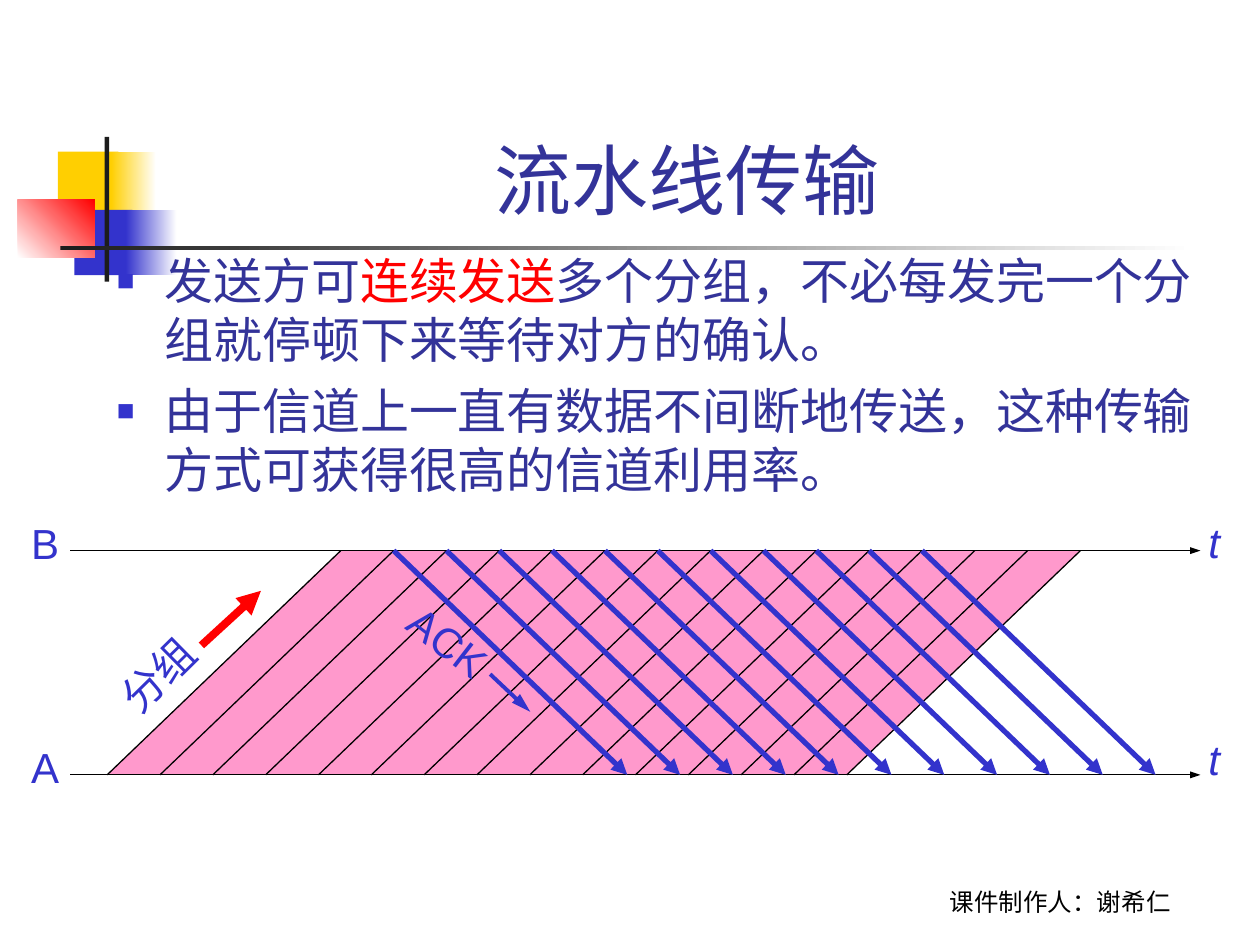
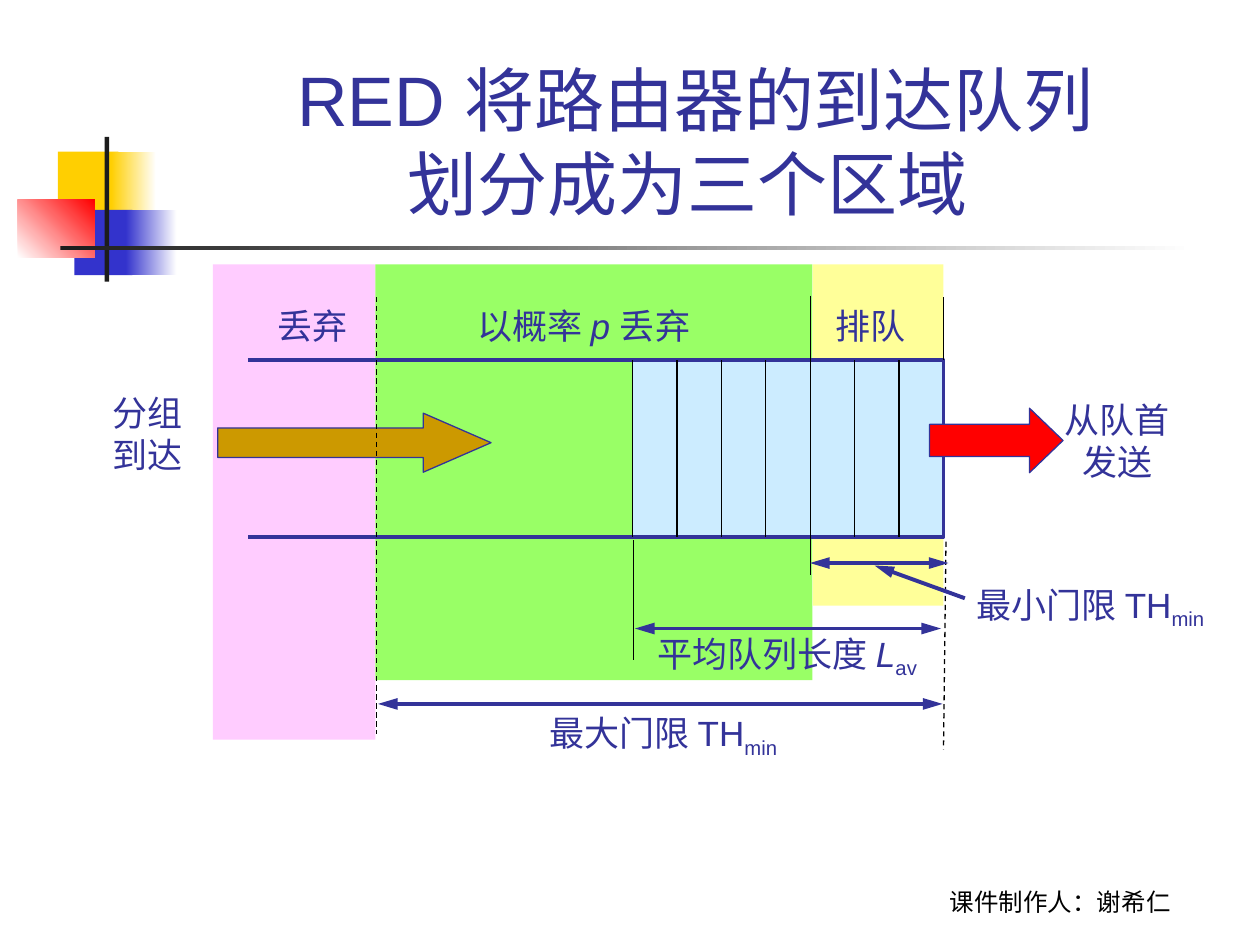
"""Builds two networking slides: pipelined transmission and the RED arrival queue."""
from lxml import etree
from pptx import Presentation
from pptx import util as u
from pptx.dml.color import RGBColor
from pptx.enum import dml, shapes, text
from pptx.oxml.ns import qn

COLORS = {
    "yellow": "FFCF01", "blue": "3333CC", "red": "FF0000", "white": "FFFFFF",
    "charcoal": "1C1C1C", "black": "000000", "navy": "333399", "packet": "FF99CC",
    "discard": "FFCCFF", "chance": "99FF66", "enqueue": "FFFF99",
    "slot": "CCECFF", "gold": "CC9900",
}
THIN, MEDIUM, THICK = 0.75, 2.25, 3
HEAD_SIZES = {THIN: {"w": "sm", "len": "med"}, MEDIUM: {"w": "med", "len": "lg"}}
LABEL_SLACK = 0.08
CENTER = text.PP_ALIGN.CENTER


def rgb(name):
    """Return the named colour."""
    return RGBColor.from_string(COLORS[name])


def cm(*lengths):
    """Convert centimetres to slide lengths."""
    return [u.Cm(length) for length in lengths]


def write(paragraph, pieces, size, color, font="Arial", align=None):
    """Fill a paragraph with (words, style) pieces and format its runs."""
    paragraph.alignment = align
    for words, style in pieces:
        run = paragraph.add_run()
        run.text = words
        run.font.size, run.font.name = u.Pt(size), font
        run.font.color.rgb = rgb("red" if style == "key" else color)
        if style == "italic":
            run.font.italic = True
        if style == "sub":
            run.font._element.set("baseline", "-25000")


def label(slide, place, lines, size, color, align=None, turn=0):
    """Add an unwrapped label whose lines are strings or lists of pieces."""
    left, top, width, height = place
    box = slide.shapes.add_textbox(
        *cm(left - LABEL_SLACK / 2, top, width + LABEL_SLACK, height))
    box.rotation = turn
    frame = box.text_frame
    frame.word_wrap = False
    frame.auto_size = text.MSO_AUTO_SIZE.SHAPE_TO_FIT_TEXT
    for index, pieces in enumerate(lines):
        paragraph = frame.add_paragraph() if index else frame.paragraphs[0]
        if isinstance(pieces, str):
            pieces = [(pieces, "")]
        write(paragraph, pieces, size, color, align=align)


def paint(shape, fill=None, outline=None, width=THIN):
    """Give a shape a plain fill and outline, and no shadow."""
    shape.shadow.inherit = False
    if fill:
        shape.fill.solid()
        shape.fill.fore_color.rgb = rgb(fill)
    else:
        shape.fill.background()
    if outline:
        shape.line.color.rgb = rgb(outline)
        shape.line.width = u.Pt(width)
    else:
        shape.line.fill.background()


def block(slide, place, fill, outline=None, kind=shapes.MSO_SHAPE.RECTANGLE):
    """Add a preset shape in a flat colour."""
    shape = slide.shapes.add_shape(kind, *cm(*place))
    paint(shape, fill, outline)
    return shape


def outline_path(slide, points, close):
    """Add a freeform through points given in centimetres."""
    start, *rest = [cm(*point) for point in points]
    builder = slide.shapes.build_freeform(*start)
    builder.add_line_segments(rest, close=close)
    return builder.convert_to_shape()


def stroke(slide, start, end, color="black", width=THIN, ends="", dashed=False):
    """Add a straight line; ends names the ends that carry arrowheads."""
    connector = slide.shapes.add_connector(
        shapes.MSO_CONNECTOR.STRAIGHT, *cm(*start, *end))
    connector.line.color.rgb = rgb(color)
    connector.line.width = u.Pt(width)
    if dashed:
        connector.line.dash_style = dml.MSO_LINE.DASH
    properties = connector.element.spPr
    for end_name in ends.split():
        etree.SubElement(properties.find(qn("a:ln")), qn(f"a:{end_name}End"),
                         type="triangle", **HEAD_SIZES.get(width, {}))
    etree.SubElement(properties, qn("a:effectLst"))


def master_emblem(master, slide, box):
    """Draw the emblem and rule once, and move them to the slide master."""
    left, top = box
    parts = [
        ((0.81, 0.3, 1.22, 1.32), "yellow", None, 0),
        ((1.88, 0.3, 0.91, 1.32), "yellow", "white", 0),
        ((1.14, 1.47, 1.17, 1.32), "blue", None, 0),
        ((2.18, 1.47, 1.02, 1.32), "blue", "white", 0),
        ((0, 1.27, 1.55, 1.17), "white", "red", 45),
        ((1.75, 0, 0.09, 2.92), "charcoal", None, 0),
        ((0.86, 2.2, 22.86, 0.09), "charcoal", "white", 0),
    ]
    for index, ((x, y, width, height), color, fade, angle) in enumerate(parts):
        part = block(slide, (left + x, top + y, width, height), color)
        if fade:
            part.fill.gradient()
            part.fill.gradient_angle = angle
            for stop, name in zip(part.fill.gradient_stops, (color, fade)):
                stop.color.rgb = rgb(name)
        part.element.nvSpPr.cNvPr.set("id", str(20 + index))
        master.shapes.element.insert(2 + index, part.element)


def title(slide, words, size):
    """Place and format the title placeholder."""
    heading = slide.shapes.title
    heading.left, heading.top, heading.width, heading.height = cm(3.2, 0.6, 21.64, 4.06)
    frame = heading.text_frame
    frame.text = words
    frame.vertical_anchor = text.MSO_ANCHOR.BOTTOM
    frame.auto_size = text.MSO_AUTO_SIZE.NONE
    paragraph = frame.paragraphs[0]
    paragraph.alignment = CENTER
    for run in paragraph.runs:
        run.font.size, run.font.name = u.Pt(size), "Arial"
        run.font.color.rgb = rgb("navy")


def footer(slide):
    """Add the author line at the lower right."""
    frame = slide.shapes.add_textbox(*cm(17.35, 17.32, 8.05, 1.27)).text_frame
    frame.word_wrap = True
    frame.vertical_anchor = text.MSO_ANCHOR.BOTTOM
    write(frame.paragraphs[0], [("课件制作人：谢希仁", "")], 14, "black", "Lato", CENTER)


def bullet_list(slide, box, items):
    """Fill the body placeholder with square-bulleted items."""
    body = slide.placeholders[1]
    body.left, body.top, body.width, body.height = cm(*box)
    frame = body.text_frame
    frame.auto_size = text.MSO_AUTO_SIZE.NONE
    for index, pieces in enumerate(items):
        paragraph = frame.add_paragraph() if index else frame.paragraphs[0]
        write(paragraph, pieces, 28, "navy")
        paragraph.space_before = u.Pt(7)
        properties = paragraph._p.get_or_add_pPr()
        properties.set("marL", str(u.Cm(0.96)))
        properties.set("indent", str(u.Cm(-0.96)))
        bullet_color = etree.SubElement(properties, qn("a:buClr"))
        etree.SubElement(bullet_color, qn("a:srgbClr"), val=COLORS["blue"])
        etree.SubElement(properties, qn("a:buSzPct"), val="60000")
        etree.SubElement(properties, qn("a:buChar"), char="■")


def pipeline_diagram(slide, box):
    """Draw packets climbing from A to B and the ACKs coming back."""
    left, top, width, height = box
    bottom, right = top + height, left + width
    first, slant, burst, packets, acks = left + 0.74, 4.71, 14.91, 14, 11
    step = burst / packets
    corners = [(first, bottom), (first + slant, top),
               (first + slant + burst, top), (first + burst, bottom)]
    paint(outline_path(slide, corners, True), "packet")
    for host, axis, time_rise in (("B", top, 0.82), ("A", bottom, 0.95)):
        stroke(slide, (left, axis), (right, axis), ends="tail")
        label(slide, (left - 1.0, axis - 0.8, 1.07, 1.27), [host], 24, "blue")
        label(slide, (right - 0.05, axis - time_rise, 0.74, 1.27),
              [[("t", "italic")]], 24, "blue")
    for index in range(packets + 1):
        x = first + index * step
        stroke(slide, (x, bottom), (x + slant, top))
    for index in range(1, acks + 1):
        x = first + slant + index * step
        stroke(slide, (x, top), (x + slant, bottom), "blue", THICK, "tail")
    label(slide, (left + 0.69, top + 1.83, 2.18, 1.27), ["分组"], 24, "blue", turn=315.3)
    stroke(slide, (left + 2.64, top + 1.91), (left + 3.84, top + 0.81), "red", 4.5, "tail")
    label(slide, (left + 6.53, top + 1.22, 2.24, 1.27), ["ACK"], 24, "blue", turn=37.8)
    stroke(slide, (left + 8.46, top + 2.49), (left + 9.27, top + 3.25), "blue", MEDIUM, "tail")


def queue_zones(slide, box):
    """Draw the three coloured regions with their headings."""
    left, top, _, height = box
    zones = [
        ("discard", 0, 3.28, height, 1.09, 1.91, [("丢弃", "")]),
        ("chance", 3.28, 8.81, 8.38, 5.13, 5.13,
         [("以概率 ", ""), ("p ", "italic"), ("丢弃", "")]),
        ("enqueue", 12.09, 2.64, 6.88, 12.34, 1.91, [("排队", "")]),
    ]
    for color, x, width, depth, heading_x, heading_width, heading in zones:
        block(slide, (left + x, top, width, depth), color)
        label(slide, (left + heading_x, top + 0.69, heading_width, 1.12), [heading], 20, "navy")


def router_queue(slide, box):
    """Draw the open channel, its filled slots and the two flow arrows."""
    left, top, width, height = box
    right, bottom = left + width, top + height
    slots, filled = 7, 6.27
    block(slide, (right - filled, top, filled, height), "slot")
    channel = [(left, top), (right, top), (right, bottom), (left, bottom)]
    paint(outline_path(slide, channel, False), None, "navy", MEDIUM)
    for index in range(slots):
        x = right - filled + index * filled / slots
        above, below = (1.3, 0.78) if index == 4 else (0, 0)
        stroke(slide, (x, top - above), (x, bottom + below))
    flows = [
        (-0.61, 1.07, 5.51, 1.19, "gold", 1.148, (-2.97, 0.51, 1.91, 1.96), ["分组", "到达"]),
        (13.74, 0.97, 2.69, 1.3, "red", 0.52, (16.21, 0.64, 2.62, 1.96), ["从队首", "发送"]),
    ]
    for x, y, length, depth, color, head, (label_x, label_y, *size), lines in flows:
        arrow = block(slide, (left + x, top + y, length, depth), color, "navy",
                      shapes.MSO_SHAPE.RIGHT_ARROW)
        arrow.adjustments[0], arrow.adjustments[1] = 0.5, head
        label(slide, (left + label_x, top + label_y, *size), lines, 20, "navy", CENTER)


def thresholds(slide, box):
    """Draw the guide lines, measures and their captions."""
    left, top, width, height = box
    guides = [
        ((3.3, 0.66), (3.3, 9.47), True),
        ((width, 0.66), (width, 1.93), False),
        ((width + 0.05, 5.59), (width, 9.78), True),
        ((8.48, 5.56), (8.48, 7.98), False),
    ]
    for (x1, y1), (x2, y2), dashed in guides:
        stroke(slide, (left + x1, top + y1), (left + x2, top + y2), dashed=dashed)
    measures = [
        (12.04, 14.83, 6.02, (15.19, 6.3, 5.44), [("最小门限 TH", ""), ("min", "sub")]),
        (8.51, 14.68, 7.34, (8.76, 7.29, 5.89),
         [("平均队列长度 ", ""), ("L", "italic"), ("av", "sub")]),
        (3.33, 14.71, 8.86, (6.58, 8.89, 5.26), [("最大门限 TH", ""), ("min", "sub")]),
    ]
    for x1, x2, y, (caption_x, caption_y, caption_width), caption in measures:
        stroke(slide, (left + x1, top + y), (left + x2, top + y), "navy", MEDIUM, "head tail")
        label(slide, (left + caption_x, top + caption_y, caption_width, 1.22),
              [caption], 20, "navy")
    stroke(slide, (left + 15.16, top + 6.73), (left + 13.34, top + 6.07), "navy", MEDIUM, "tail")


def pipeline_slide(deck):
    """Build the slide on pipelined transmission."""
    slide = deck.slides.add_slide(deck.slide_layouts[1])
    master_emblem(deck.slide_master, slide, (0.36, 2.76))
    footer(slide)
    title(slide, "流水线传输 ", 44)
    bullet_list(slide, (2.1, 4.93, 22.38, 5.79), [
        [("发送方可", ""), ("连续发送", "key"),
         ("多个分组，不必每发完一个分组就停顿下来等待对方的确认。", "")],
        [("由于信道上一直有数据不间断地传送，这种传输方式可获得很高的信道利用率。", "")],
    ])
    pipeline_diagram(slide, (1.42, 11.1, 22.78, 4.52))


def red_slide(deck):
    """Build the slide on the three regions of a RED queue."""
    slide = deck.slides.add_slide(deck.slide_layouts[5])
    footer(slide)
    title(slide, "RED 将路由器的到达队列\v划分成为三个区域 ", 40)
    left, top, width, height = box = (4.29, 5.33, 14.73, 9.58)
    queue_zones(slide, box)
    router_queue(slide, (left + 0.71, top + 1.93, width - 0.71, 3.56))
    thresholds(slide, box)


deck = Presentation()
deck.slide_width, deck.slide_height = cm(25.4, 19.05)
pipeline_slide(deck)
red_slide(deck)
deck.save("out.pptx")
